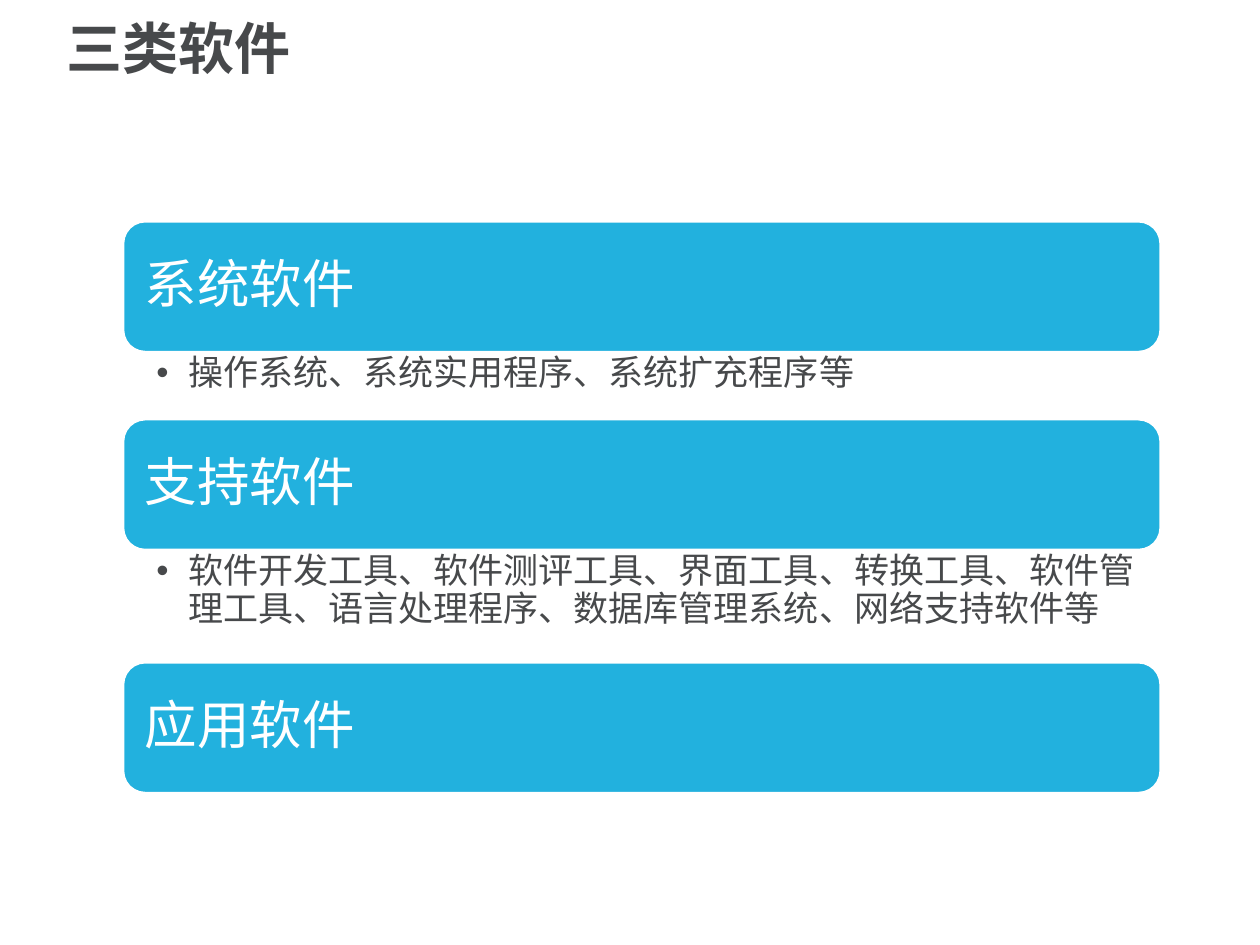
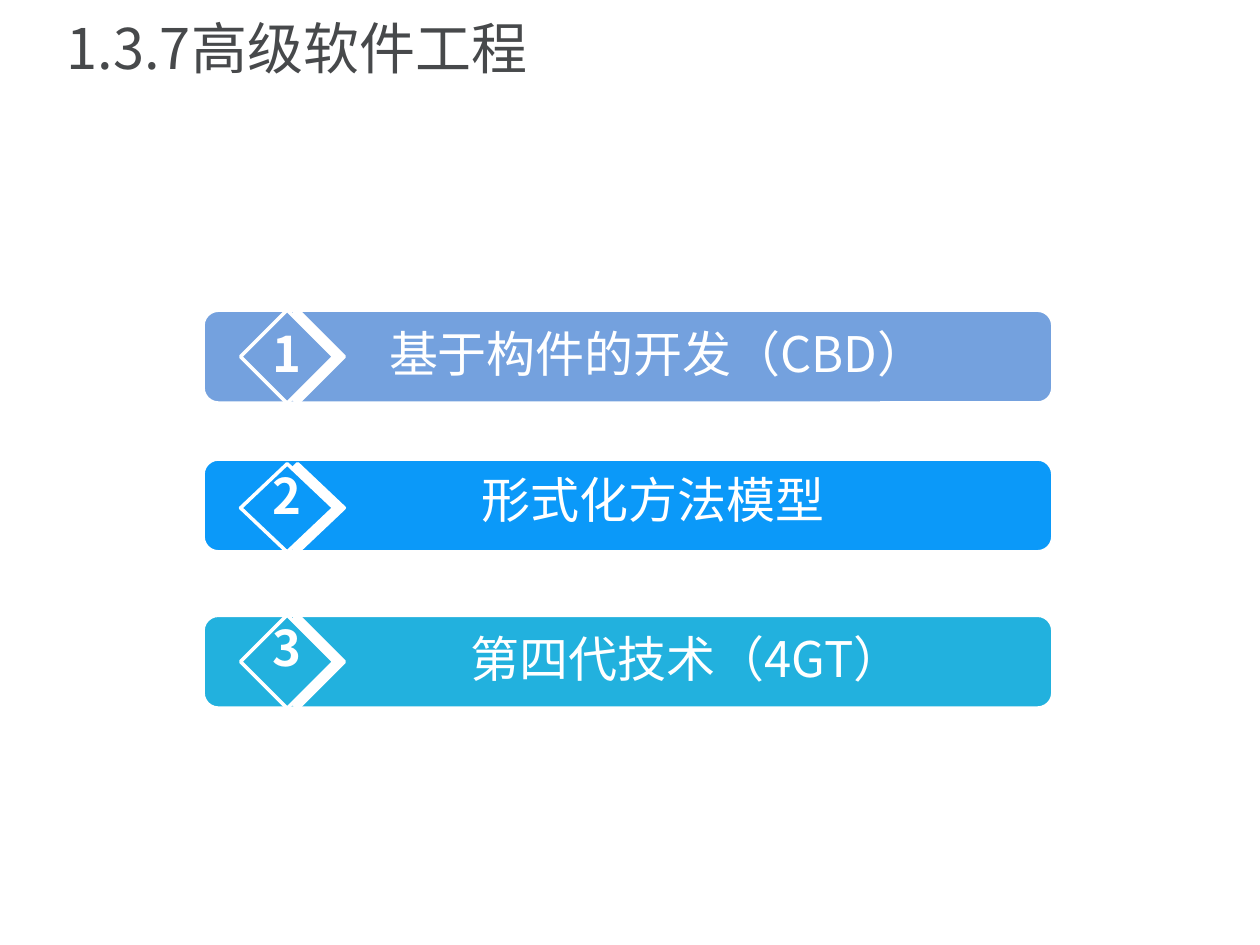
from lxml.etree import SubElement
from pptx import Presentation
from pptx.dml.color import RGBColor
from pptx.enum.shapes import MSO_SHAPE
from pptx.enum.text import MSO_ANCHOR, MSO_AUTO_SIZE, PP_ALIGN
from pptx.oxml.ns import qn
from pptx.util import Cm, Pt

# Shared style
FONT = "Noto Sans CJK SC"
LABEL_FONT = "Noto Sans CJK JP"
WHITE, DARK, CYAN = "FFFFFF", "47494B", "22B1DE"
PERIWINKLE, AZURE = "74A1DE", "0B99F9"
TWO_CONTENT, TITLE_ONLY = 3, 5  # template layouts

# Software categories: heading, examples, height of the examples
CATEGORIES = [
    ("系统软件", "操作系统、系统实用程序、系统扩充程序等", 1.37),
    ("支持软件", "软件开发工具、软件测评工具、界面工具、转换工具、软件管理工具、"
     "语言处理程序、数据库管理系统、网络支持软件等", 2.28),
    ("应用软件", None, 0),
]

# Approaches: label, colour, bar top, (diamond top, height), digit top,
# label (left, top, height)
APPROACHES = [
    ("基于构件的开发（CBD）", PERIWINKLE, 6.25, (6.25, 1.88), 6.4, (6.15, 6.4, 5.05)),
    ("形式化方法模型", AZURE, 9.25, (9.35, 1.78), 9.25, (6.05, 9.35, 3.84)),
    ("第四代技术（4GT）", CYAN, 12.4, (12.4, 1.88), 12.32, (6.73, 12.55, 2.64)),
]


def color(value):
    return RGBColor.from_string(value)


def place(shape, left, top, width, height):
    shape.left, shape.top = Cm(left), Cm(top)
    shape.width, shape.height = Cm(width), Cm(height)


def write(shape, text, size=28, fill=WHITE, font=FONT, bold=False,
          align=PP_ALIGN.LEFT, anchor=MSO_ANCHOR.TOP, spacing=1.0, insets=None):
    """Put one formatted paragraph into a shape and return it."""
    frame = shape.text_frame
    frame.word_wrap = True
    frame.auto_size = MSO_AUTO_SIZE.NONE
    frame.vertical_anchor = anchor
    if insets:
        (frame.margin_left, frame.margin_top,
         frame.margin_right, frame.margin_bottom) = map(Cm, insets)
    para = frame.paragraphs[0]
    para.alignment, para.line_spacing = align, spacing
    para.space_before = Pt(0)
    span = para.add_run()
    span.text = text
    span.font.size, span.font.bold = Pt(size), bold
    span.font.color.rgb = color(fill)
    span.font.name = font
    SubElement(span.font._element, qn("a:ea"), typeface=font)
    return para


def add_page(deck, layout, title, bold=False):
    page = deck.slides.add_slide(deck.slide_layouts[layout])
    place(page.shapes.title, 1.09, 0.15, 22.99, 1.78)
    write(page.shapes.title, title, size=32, fill=DARK, bold=bold,
          anchor=MSO_ANCHOR.MIDDLE, spacing=0.9)
    return page


def add_box(page, kind, area, fill, line_width):
    box = page.shapes.add_shape(kind, *map(Cm, area))
    box.shadow.inherit = False
    box.fill.solid()
    box.fill.fore_color.rgb = color(fill)
    box.line.color.rgb = color(WHITE)
    box.line.width = Pt(line_width)
    return box


def add_white_shadow(box, distance):
    """Cast a solid white shadow to the right."""
    effects = box._element.spPr.find(qn("a:effectLst"))
    shadow = SubElement(effects, qn("a:outerShdw"), blurRad="0",
                        dist=str(Pt(distance)), dir="0", algn="ctr", rotWithShape="0")
    SubElement(shadow, qn("a:srgbClr"), val=WHITE)


def add_label(page, text, area, bold=False):
    box = page.shapes.add_textbox(*map(Cm, area))
    write(box, text, font=LABEL_FONT, bold=bold, align=PP_ALIGN.CENTER)


def fill_list(holder, text, area):
    place(holder, *area)
    para = write(holder, text, size=20, fill=DARK, spacing=0.9,
                 insets=(0.66, 0.08, 0.41, 0.08))
    properties = para._p.get_or_add_pPr()
    properties.set("marL", str(Cm(0.64)))
    properties.set("indent", str(-Cm(0.64)))


def add_categories(deck):
    page = add_page(deck, TWO_CONTENT, "三类软件", bold=True)
    holders = iter(list(page.placeholders)[1:])
    left, top, width, bar_height = 2.49, 4.47, 20.9, 2.62
    for heading, examples, list_height in CATEGORIES:
        bar = add_box(page, MSO_SHAPE.ROUNDED_RECTANGLE,
                      (left, top, width, bar_height), CYAN, 1)
        write(bar, heading, size=30, anchor=MSO_ANCHOR.MIDDLE, spacing=0.9,
              insets=(0.3, 0.3, 0.3, 0.3))
        top += bar_height
        if examples:
            fill_list(next(holders), examples, (left, top, width, list_height))
        top += list_height


def add_approaches(deck):
    page = add_page(deck, TITLE_ONLY, "1.3.7高级软件工程")
    for number, approach in enumerate(APPROACHES, start=1):
        text, fill, bar_top, diamond, digit_top, label = approach
        add_box(page, MSO_SHAPE.ROUNDED_RECTANGLE, (4.09, bar_top, 17.14, 1.88), fill, 2.25)
        marker = add_box(page, MSO_SHAPE.DIAMOND,
                         (4.85, diamond[0], 1.88, diamond[1]), fill, 2)
        add_white_shadow(marker, 6)
        add_label(page, str(number), (5.18, digit_top, 1.22, 1.45), bold=True)
        label_left, label_top, label_height = label
        add_label(page, text, (label_left, label_top, 14.22, label_height))


def main():
    deck = Presentation()
    deck.slide_width, deck.slide_height = Cm(25.4), Cm(19.05)
    add_categories(deck)
    add_approaches(deck)
    deck.save("out.pptx")


if __name__ == "__main__":
    main()
